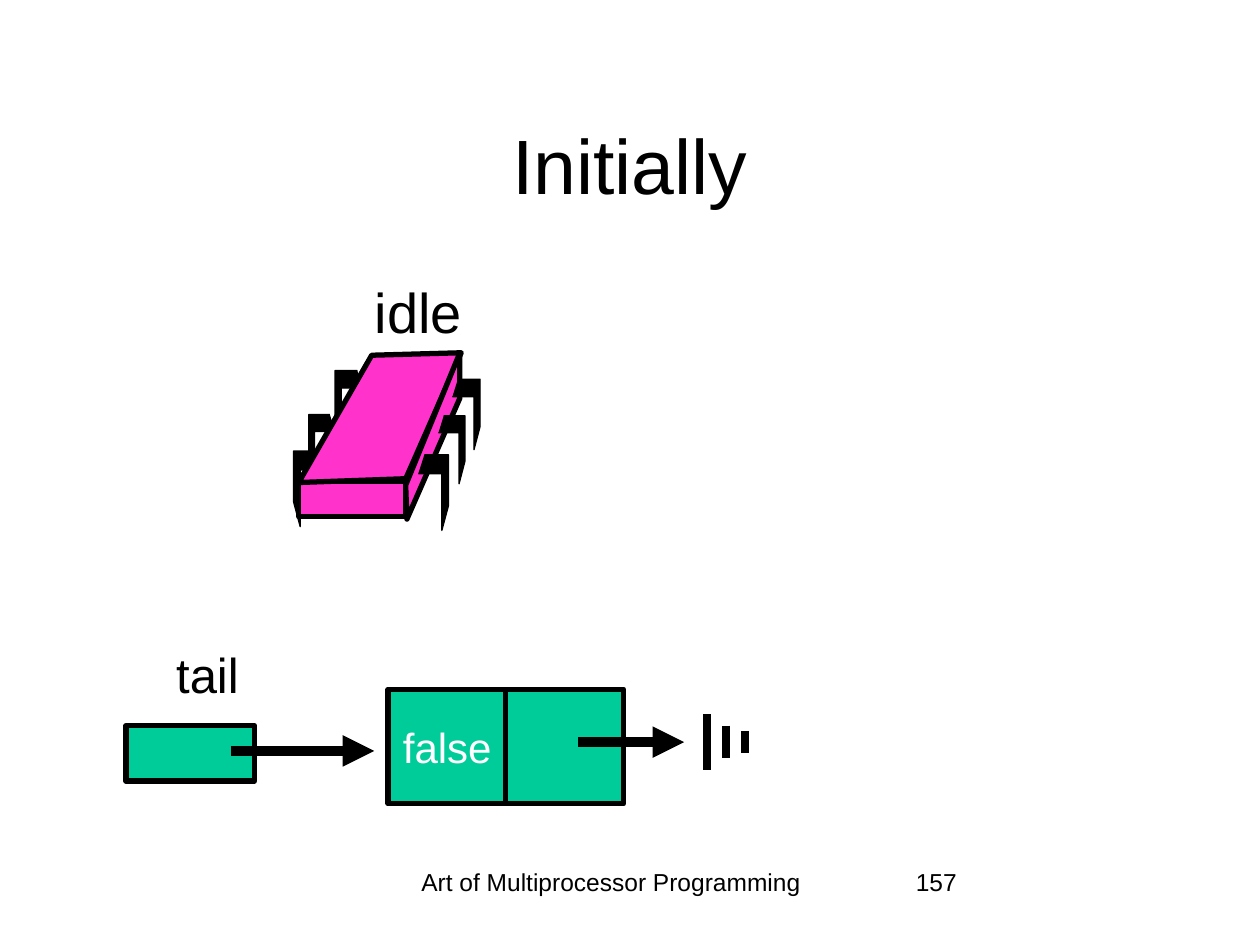
from lxml import etree
from pptx import Presentation
from pptx.dml.color import RGBColor
from pptx.enum.shapes import MSO_CONNECTOR, MSO_SHAPE
from pptx.enum.text import MSO_ANCHOR, PP_ALIGN
from pptx.oxml.ns import qn
from pptx.util import Inches, Pt

COLORS = {"ink": "000000", "node": "00CC99", "thread": "FF33CC", "paper": "FFFFFF"}
FONT = "Arial"

# Outline of a left leg, as fractions of its width and height.
LEG_OUTLINE = [(0.8, 0), (0, 0), (0, 0.67), (0.22, 1), (0.22, 0.25), (1, 0.25)]


class SlidePainter:
    def __init__(self, slide):
        self.slide = slide
        self.shapes = slide.shapes

    def color(self, name):
        return RGBColor.from_string(COLORS[name])

    def set_text(self, shape, text, size, color="ink", align=PP_ALIGN.CENTER,
                 anchor=MSO_ANCHOR.TOP, wrap=True):
        frame = shape.text_frame
        frame.text = text
        frame.word_wrap = wrap
        frame.vertical_anchor = anchor
        paragraph = frame.paragraphs[0]
        paragraph.alignment = align
        font = paragraph.runs[0].font
        font.name = FONT
        font.size = Pt(size)
        font.color.rgb = self.color(color)

    def label(self, text, left, top, width, height, size, **style):
        box = self.shapes.add_textbox(*map(Inches, (left, top, width, height)))
        self.set_text(box, text, size, **style)

    def paint(self, shape, fill, line_width):
        shape.shadow.inherit = False
        shape.fill.solid()
        shape.fill.fore_color.rgb = self.color(fill)
        shape.line.color.rgb = self.color("ink")
        shape.line.width = Pt(line_width)

    def box(self, left, top, width, height, fill):
        rect = self.shapes.add_shape(
            MSO_SHAPE.RECTANGLE, *map(Inches, (left, top, width, height)))
        self.paint(rect, fill, 3)
        return rect

    def outline(self, points, fill, line_width, close=True):
        start, *rest = [(Inches(x), Inches(y)) for x, y in points]
        builder = self.shapes.build_freeform(*start)
        builder.add_line_segments(rest, close=close)
        self.paint(builder.convert_to_shape(), fill, line_width)

    def leg(self, outer_x, top, width, height):
        """Draw a chip leg; a negative width mirrors it to the right side."""
        points = [(outer_x + x * width, top + y * height) for x, y in LEG_OUTLINE]
        self.outline(points, "ink", 0.75, close=False)

    def line(self, x1, y1, x2, y2, width, arrow=False):
        connector = self.shapes.add_connector(
            MSO_CONNECTOR.STRAIGHT, *map(Inches, (x1, y1, x2, y2)))
        connector.line.color.rgb = self.color("ink")
        connector.line.width = Pt(width)
        properties = connector._element.spPr
        if arrow:
            head = etree.SubElement(properties.find(qn("a:ln")), qn("a:tailEnd"))
            head.set("type", "triangle")
        etree.SubElement(properties, qn("a:effectLst"))


def draw_queue(painter):
    painter.box(1, 5.76, 1.02, 0.44, "node")
    painter.line(1.83, 5.96, 2.97, 5.96, 6, arrow=True)
    locked = painter.box(3.08, 5.47, 0.94, 0.91, "node")
    painter.set_text(locked, "false", 24, color="paper",
                     anchor=MSO_ANCHOR.MIDDLE, wrap=False)
    painter.box(4.01, 5.47, 0.94, 0.91, "node")
    painter.line(4.59, 5.89, 5.43, 5.89, 6, arrow=True)
    for index, length in enumerate((0.44, 0.26, 0.18)):
        x = 5.61 + 0.15 * index
        painter.line(x, 5.89 - length / 2, x, 5.89 + length / 2, 4.5)
    painter.label("tail", 1.3, 5.07, 0.92, 0.57, 28, align=PP_ALIGN.LEFT)


def draw_thread(painter):
    painter.box(2.37, 3.82, 0.85, 0.28, "thread")
    for leg in ((2.33, 3.58, 0.24, 0.6), (2.45, 3.29, 0.21, 0.54),
                (2.66, 2.94, 0.22, 0.56)):
        painter.leg(*leg)
    top_face = [(2.37, 3.83), (3.22, 3.8), (3.66, 2.8), (2.95, 2.82)]
    side_face = [(3.65, 2.8), (3.65, 3.16), (3.23, 4.12), (3.22, 3.85)]
    for face in (top_face, side_face):
        painter.outline(face, "thread", 3)
    for leg in ((3.56, 3.61, -0.24, 0.6), (3.69, 3.3, -0.21, 0.54),
                (3.81, 3.01, -0.22, 0.56)):
        painter.leg(*leg)
    painter.label("idle", 2.87, 2.15, 0.9, 0.64, 32, wrap=False)


def main():
    deck = Presentation()
    deck.slide_width, deck.slide_height = Inches(10), Inches(7.5)
    painter = SlidePainter(deck.slides.add_slide(deck.slide_layouts[6]))
    painter.label("Art of Multiprocessor Programming", 2.89, 6.83, 3.92, 0.5, 14)
    painter.label("157", 7.17, 6.83, 2.08, 0.5, 14, align=PP_ALIGN.LEFT)
    painter.label("Initially", 0.75, 0.67, 8.5, 1.25, 44, anchor=MSO_ANCHOR.MIDDLE)
    draw_queue(painter)
    draw_thread(painter)
    deck.save("out.pptx")


if __name__ == "__main__":
    main()
